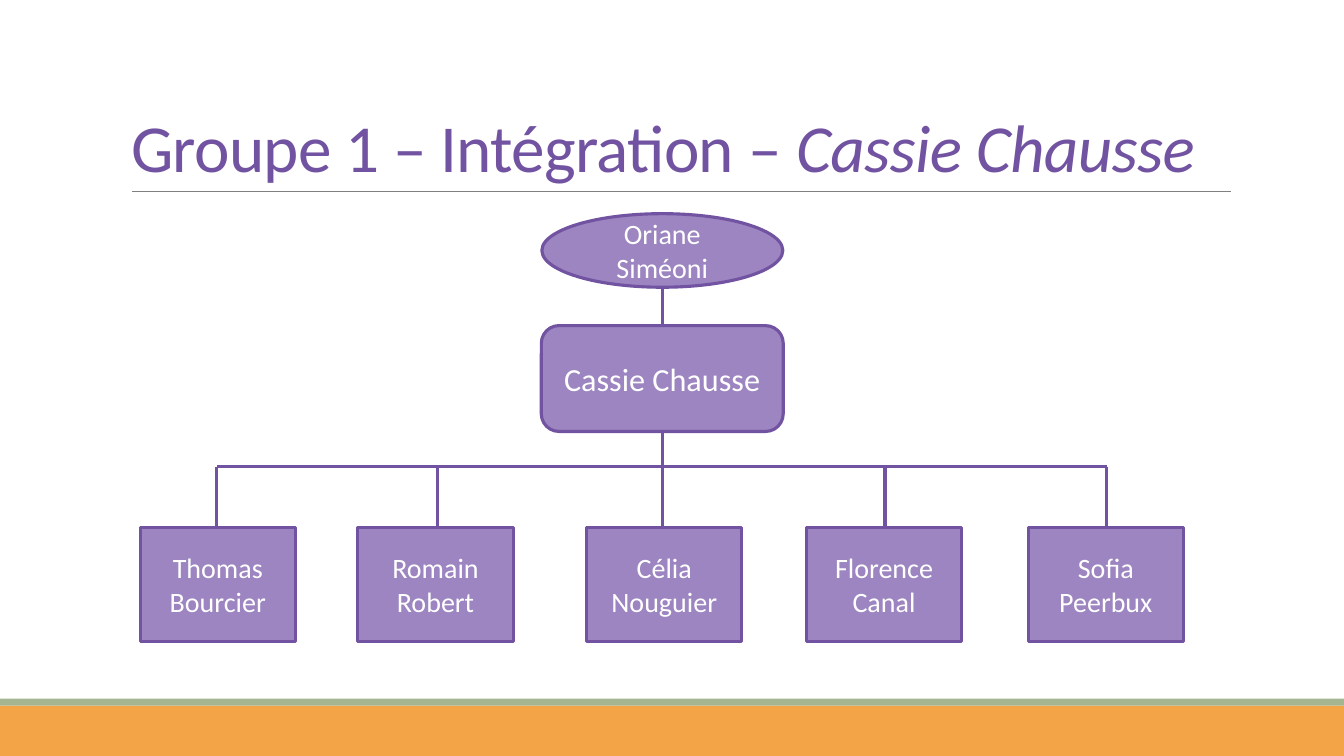
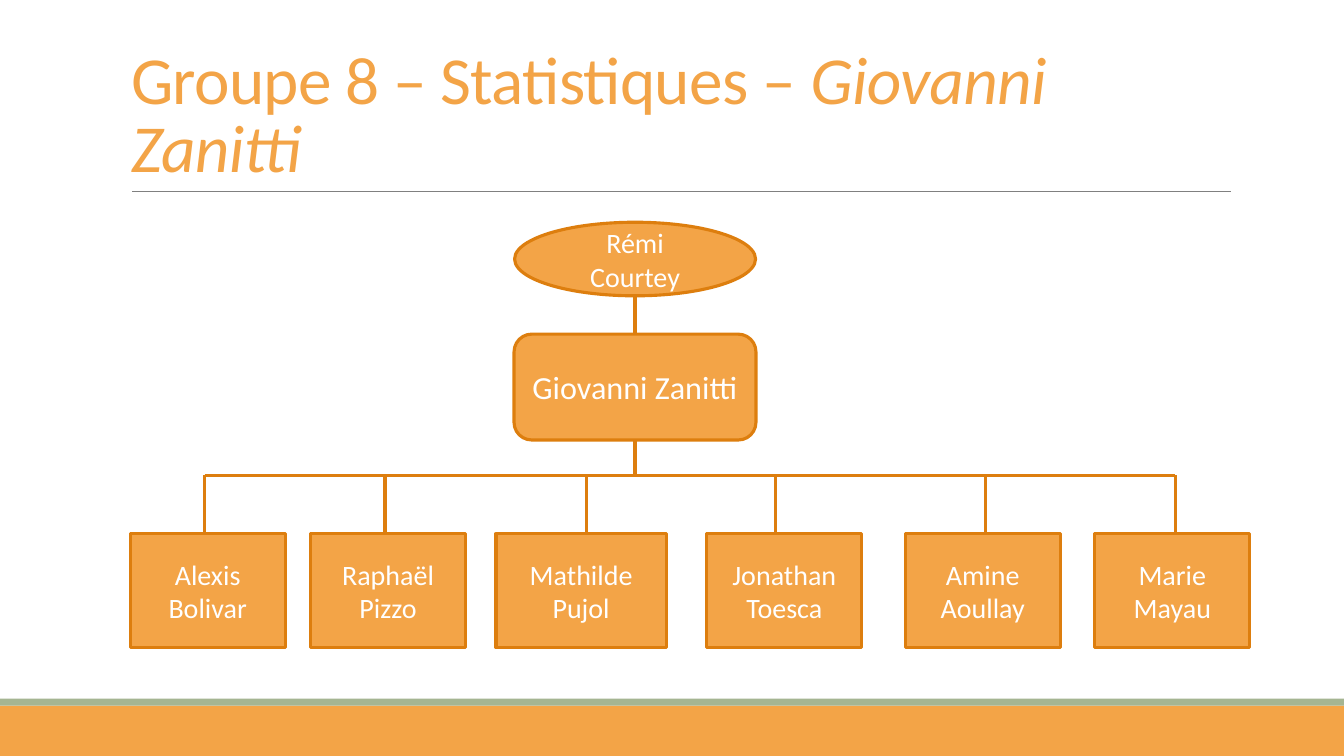
"""Two organisation charts, one per project group, on a shared layout."""
from lxml import etree
from pptx import Presentation
from pptx import util as u
from pptx.dml.color import RGBColor
from pptx.enum import shapes, text
from pptx.oxml.ns import qn

ORANGE = RGBColor(0xF3, 0xA4, 0x47)
DARK_ORANGE = RGBColor(0xDD, 0x7E, 0x0E)
PURPLE = RGBColor(0x9C, 0x85, 0xC0)
DARK_PURPLE = RGBColor(0x71, 0x53, 0xA1)
GREEN = RGBColor(0xA5, 0xB5, 0x92)
GREY = RGBColor(0x80, 0x80, 0x80)
WHITE = RGBColor(0xFF, 0xFF, 0xFF)
FONT = "Calibri"
SHAPE = shapes.MSO_SHAPE

prs = Presentation()
prs.slide_width, prs.slide_height = u.Inches(13.33), u.Inches(7.5)
COL, ROW = prs.slide_width / 100, prs.slide_height / 100

LEAF_W, LEAF_H = 11.55, 15.07
LEAD_W, LEAD_H = 17.93, 9.73
HUB_W, HUB_H = 18, 14
HUB_DROP, BUS_DROP = 14.8, 33.45

GROUPS = [
    dict(title="Groupe 1 – Intégration – ", lead="Oriane Siméoni", hub="Cassie Chausse",
         title_color=DARK_PURPLE, fill=PURPLE, edge=DARK_PURPLE,
         center=49.28, top=28.27, leaf_top=69.75,
         leaves=[("Thomas Bourcier", 10.43, LEAF_W, 16.13),
                 ("Romain Robert", 26.63, LEAF_W, 32.55),
                 ("Célia Nouguier", 43.65, LEAF_W, 49.28),
                 ("Florence Canal", 60, LEAF_W, 65.85),
                 ("Sofia\nPeerbux", 76.5, LEAF_W, 82.35)]),
    dict(title="Groupe 8 – Statistiques – ", lead="Rémi Courtey", hub="Giovanni Zanitti",
         title_color=ORANGE, fill=ORANGE, edge=DARK_ORANGE,
         center=47.25, top=29.4, leaf_top=70.6,
         leaves=[("Alexis Bolivar", 9.68, LEAF_W, 15.23),
                 ("Raphaël Pizzo", 23.1, LEAF_W, 28.65),
                 ("Mathilde Pujol", 36.9, 12.68, 43.65),
                 ("Jonathan Toesca", 52.58, LEAF_W, 57.68),
                 ("Amine\nAoullay", 67.35, LEAF_W, 73.35),
                 ("Marie Mayau", 81.45, LEAF_W, 87.45)]),
]


def add_box(s, kind, x, y, w, h, fill, edge=None, label="", size=20):
    sp = s.shapes.add_shape(kind, *(int(v) for v in (x * COL, y * ROW, w * COL, h * ROW)))
    sp.shadow.inherit = False
    sp.fill.solid()
    sp.fill.fore_color.rgb = fill
    if edge is None:
        sp.line.fill.background()
    else:
        sp.line.color.rgb = edge
        sp.line.width = u.Pt(2.25)
    tf = sp.text_frame
    tf.text = label
    tf.word_wrap = True
    tf.vertical_anchor = text.MSO_ANCHOR.MIDDLE
    for p in tf.paragraphs:
        p.alignment = text.PP_ALIGN.CENTER
        p.font.name, p.font.size, p.font.color.rgb = FONT, u.Pt(size), WHITE
    return sp


def add_line(s, x1, y1, x2, y2, color, width=2.25):
    ends = (int(v) for v in (x1 * COL, y1 * ROW, x2 * COL, y2 * ROW))
    cx = s.shapes.add_connector(shapes.MSO_CONNECTOR.STRAIGHT, *ends)
    cx.line.color.rgb = color
    cx.line.width = u.Pt(width)
    etree.SubElement(cx._element.spPr, qn("a:effectLst"))
    return cx


layout = prs.slide_layouts.get_by_name("Title Only")
title = layout.placeholders[0]
title.left, title.top = int(9 * COL), int(4.13 * ROW)
title.width, title.height = int(82.5 * COL), int(21.2 * ROW)
title.text_frame.vertical_anchor = text.MSO_ANCHOR.BOTTOM
title.text_frame.auto_size = text.MSO_AUTO_SIZE.NONE

slides = [prs.slides.add_slide(layout) for group in GROUPS]
decor = [add_box(slides[0], SHAPE.RECTANGLE, 0, 93.33, 100, 6.67, ORANGE),
         add_box(slides[0], SHAPE.RECTANGLE, 0, 92.4, 100, 0.93, GREEN),
         add_line(slides[0], 9.83, 25.33, 91.58, 25.33, GREY, 0.5)]
for sp in decor:
    layout.shapes._spTree.append(sp._element)

for s, g in zip(slides, GROUPS):
    p = s.shapes.title.text_frame.paragraphs[0]
    p.alignment = text.PP_ALIGN.LEFT
    p.line_spacing = 0.85
    p.font.name, p.font.size, p.font.color.rgb = FONT, u.Pt(48), g["title_color"]
    for words, italic in ((g["title"], None), (g["hub"], True)):
        r = p.add_run()
        r.text = words
        r.font.italic = italic
        r._r.get_or_add_rPr().set("spc", "-50")

    fill, edge, center, top = g["fill"], g["edge"], g["center"], g["top"]
    hub_top, bus = top + HUB_DROP, top + BUS_DROP
    stems = [leaf[-1] for leaf in g["leaves"]]
    add_line(s, center, top + LEAD_H, center, hub_top, edge)
    add_line(s, center, hub_top + HUB_H, center, bus, edge)
    add_line(s, stems[0], bus, stems[-1], bus, edge)
    add_box(s, SHAPE.OVAL, center - LEAD_W / 2, top, LEAD_W, LEAD_H, fill, edge, g["lead"])
    add_box(s, SHAPE.ROUNDED_RECTANGLE, center - HUB_W / 2, hub_top, HUB_W, HUB_H,
            fill, edge, g["hub"], 23)
    for name, left, width, stem in g["leaves"]:
        add_line(s, stem, bus, stem, g["leaf_top"], edge)
        add_box(s, SHAPE.RECTANGLE, left, g["leaf_top"], width, LEAF_H, fill, edge, name)

prs.save("out.pptx")
